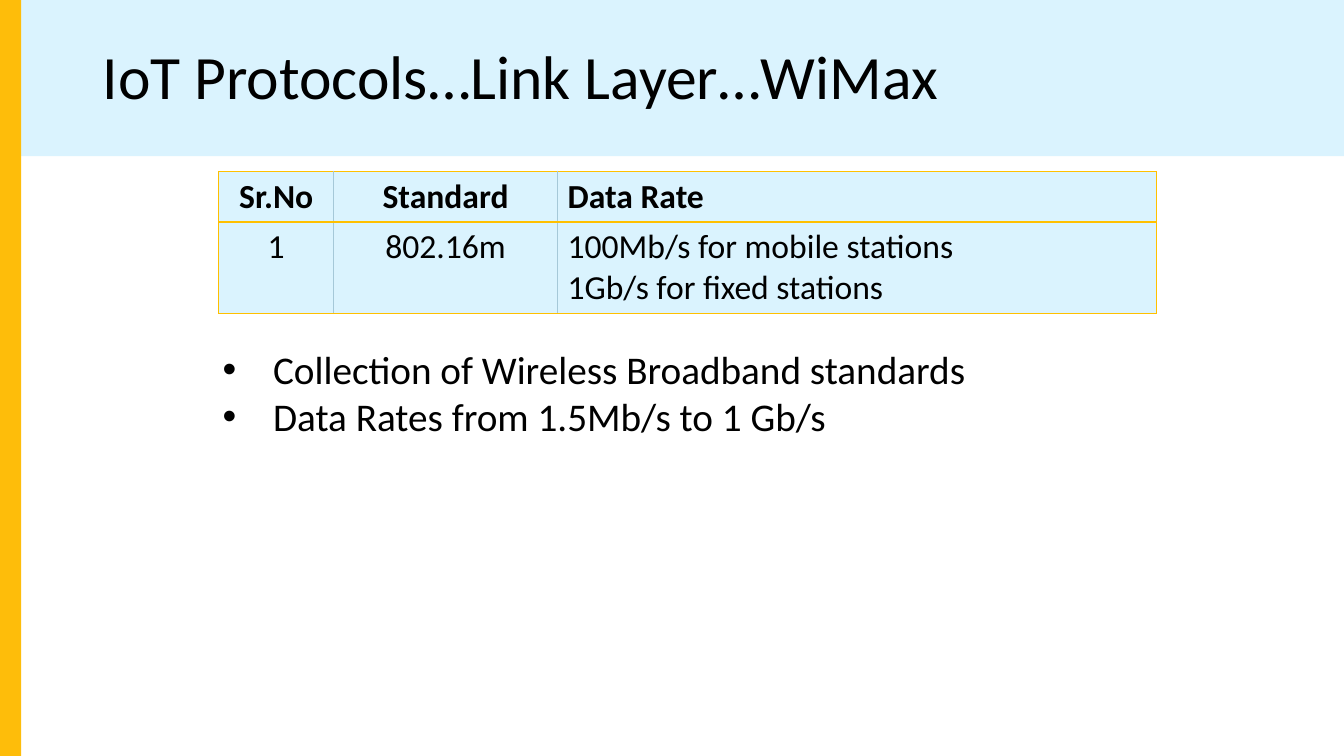
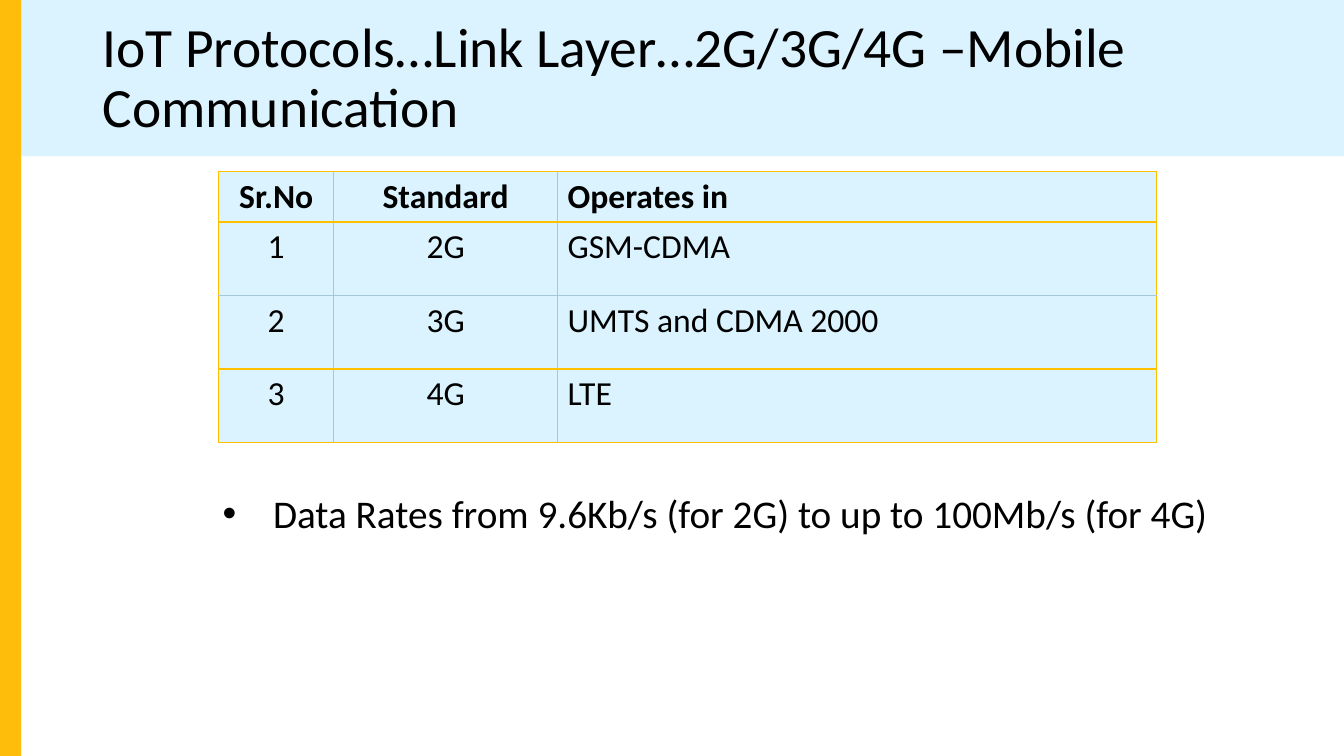
from lxml.etree import SubElement
from pptx import Presentation
from pptx.dml.color import RGBColor
from pptx.enum.shapes import MSO_SHAPE
from pptx.enum.text import MSO_ANCHOR, PP_ALIGN
from pptx.oxml.ns import qn
from pptx.util import Inches, Pt

SKY = RGBColor(0xDA, 0xF3, 0xFE)
AMBER = RGBColor(0xFE, 0xBD, 0x0A)
GOLD = RGBColor(0xFF, 0xC0, 0x00)
MIST = RGBColor(0xA5, 0xC8, 0xD8)
BLACK = RGBColor(0, 0, 0)
FONT = "Calibri"

COLS = [1.14, 2.22, 5.94]
ALIGNS = [PP_ALIGN.CENTER, PP_ALIGN.CENTER, PP_ALIGN.LEFT]
HEAD = 0.5

SLIDES = [
    {
        "title": "IoT Protocols…Link Layer…WiMax",
        "size": 44,
        "rows": [
            ["Sr.No", "Standard", "Data Rate"],
            ["1", "802.16m", "100Mb/s for mobile stations\n1Gb/s for fixed stations"],
        ],
        "height": 0.91,
        "points": [
            "Collection of Wireless Broadband standards",
            "Data Rates from 1.5Mb/s to 1 Gb/s",
        ],
        "box": (2.11, 3.38, 9.89, 1.04),
    },
    {
        "title": "IoT Protocols…Link Layer…2G/3G/4G –Mobile Communication",
        "size": 39.6,
        "rows": [
            ["Sr.No", "Standard", "Operates in"],
            ["1", "2G", "GSM-CDMA"],
            ["2", "3G", "UMTS and CDMA 2000"],
            ["3", "4G", "LTE"],
        ],
        "height": 0.73,
        "points": ["Data Rates from 9.6Kb/s (for 2G) to up to 100Mb/s (for 4G)"],
        "box": (2.11, 4.81, 10.44, 0.57),
    },
]


def write(frame, text, size, bold=False, align=PP_ALIGN.LEFT, space=1.0, bullet=False):
    frame.word_wrap = True
    frame.text = text
    for para in frame.paragraphs:
        para.alignment = align
        para.line_spacing = space
        font = para.font
        font.name, font.size, font.bold = FONT, Pt(size), bold
        font.color.rgb = BLACK
        if bullet:
            props = para._p.get_or_add_pPr()
            props.set("marL", str(Inches(0.5)))
            props.set("indent", str(Inches(-0.5)))
            mark = SubElement(props, qn("a:buFont"))
            mark.set("typeface", "Arial")
            SubElement(props, qn("a:buChar")).set("char", "•")


def add_text(slide, box, text, anchor=MSO_ANCHOR.TOP, **style):
    frame = slide.shapes.add_textbox(*map(Inches, box)).text_frame
    frame.vertical_anchor = anchor
    write(frame, text, **style)


def add_band(slide, box, color):
    band = slide.shapes.add_shape(MSO_SHAPE.RECTANGLE, *map(Inches, box))
    band.shadow.inherit = False
    band.fill.solid()
    band.fill.fore_color.rgb = color
    band.line.fill.background()


def row_line(edge, count):
    if edge == 1:
        return GOLD, 2
    return (GOLD, 1) if edge in (0, count - 1, count) else (MIST, 1)


def col_line(edge, count):
    return (GOLD, 1) if edge in (0, count) else (MIST, 1)


def add_line(cell, side, color, width):
    line = SubElement(cell._tc.get_or_add_tcPr(), qn("a:ln" + side))
    line.set("w", str(Pt(width)))
    fill = SubElement(line, qn("a:solidFill"))
    SubElement(fill, qn("a:srgbClr")).set("val", str(color))


def add_grid(slide, rows, height):
    tall = [HEAD] + [height] * (len(rows) - 1)
    place = map(Inches, (2.17, 1.7, sum(COLS), sum(tall)))
    table = slide.shapes.add_table(len(rows), len(COLS), *place).table
    table.first_row = table.horz_banding = False
    for col, width in zip(table.columns, COLS):
        col.width = Inches(width)
    for row, size in zip(table.rows, tall):
        row.height = Inches(size)
    for r, row in enumerate(rows):
        for c, text in enumerate(row):
            cell = table.cell(r, c)
            add_line(cell, "L", *col_line(c, len(COLS)))
            add_line(cell, "R", *col_line(c + 1, len(COLS)))
            add_line(cell, "T", *row_line(r, len(rows)))
            add_line(cell, "B", *row_line(r + 1, len(rows)))
            cell.fill.solid()
            cell.fill.fore_color.rgb = SKY
            write(cell.text_frame, text, 24, bold=r == 0, align=ALIGNS[c])


def main():
    deck = Presentation()
    deck.slide_width, deck.slide_height = Inches(13.33), Inches(7.5)
    for data in SLIDES:
        slide = deck.slides.add_slide(deck.slide_layouts[6])
        add_band(slide, (0, 0, 13.33, 1.55), SKY)
        add_band(slide, (-0.01, 0, 0.22, 7.5), AMBER)
        add_text(slide, (0.92, 0.2, 11.5, 1.18), data["title"],
                 anchor=MSO_ANCHOR.MIDDLE, size=data["size"], space=0.9)
        add_grid(slide, data["rows"], data["height"])
        add_text(slide, data["box"], "\n".join(data["points"]), size=28, bullet=True)
    deck.save("out.pptx")


if __name__ == "__main__":
    main()
